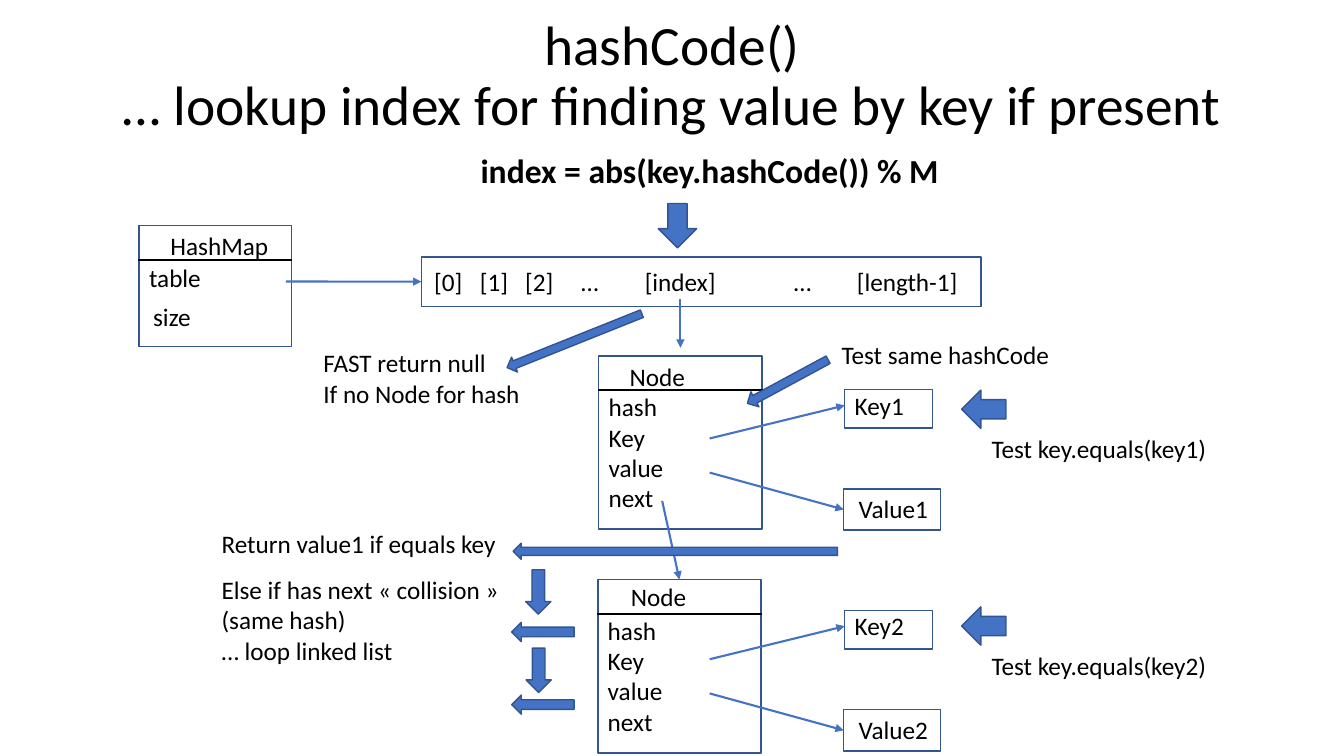
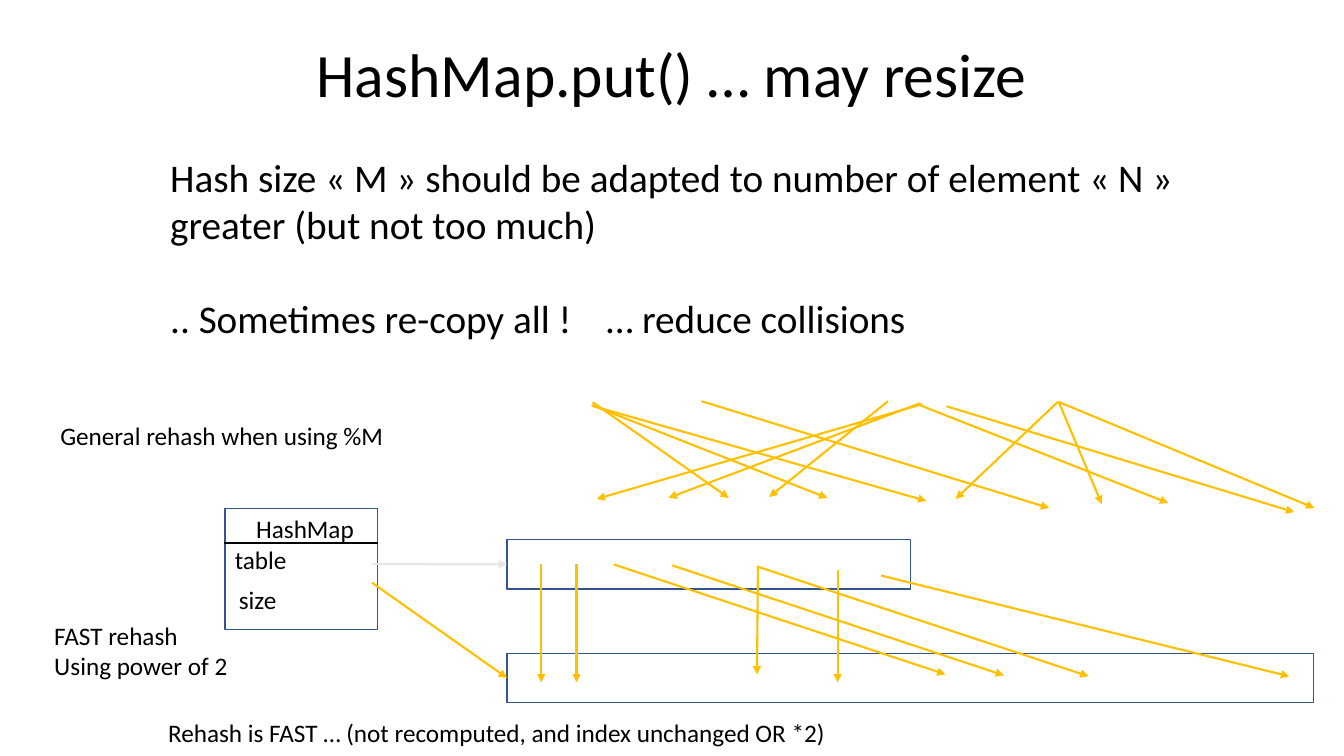
from lxml import etree
from pptx import Presentation
from pptx.dml.color import RGBColor
from pptx.enum.shapes import MSO_CONNECTOR, MSO_SHAPE
from pptx.enum.text import MSO_ANCHOR, MSO_AUTO_SIZE, PP_ALIGN
from pptx.oxml.ns import qn
from pptx.util import Pt

STRAIGHT = MSO_CONNECTOR.STRAIGHT
RECTANGLE = MSO_SHAPE.RECTANGLE
DOWN_ARROW = MSO_SHAPE.DOWN_ARROW
MIDDLE = MSO_ANCHOR.MIDDLE
FIT_SHAPE = MSO_AUTO_SIZE.SHAPE_TO_FIT_TEXT
CENTER = PP_ALIGN.CENTER

COLORS = {
    "text": "000000",
    "accent": "4472C4",
    "outline": "325491",
    "pale": "E7E6E6",
    "rehash": "FFC000",
}
TOP, LEFT = 0, 1
LINE_HEIGHT = 22
TITLE_BOX = (66, 11, 828, 89)
ARRAY_HEIGHT = 35.3


def color(name):
    return RGBColor.from_string(COLORS[name])


def points(values):
    return [Pt(value) for value in values]


def write(paragraph, text, **font_format):
    paragraph.text = text
    values = {"name": "Calibri", "size": Pt(18), **font_format}
    for run in paragraph.runs:
        for attribute, value in values.items():
            setattr(run.font, attribute, value)
        run.font.color.rgb = color("text")


def set_tabs(paragraph, positions):
    properties = paragraph._p.get_or_add_pPr()
    tabs = etree.SubElement(properties, qn("a:tabLst"))
    for position in positions:
        etree.SubElement(tabs, qn("a:tab"), pos=str(Pt(position)), algn="l")


def add_title(slide, text, size):
    frame = slide.shapes.add_textbox(*points(TITLE_BOX)).text_frame
    frame.word_wrap = True
    frame.vertical_anchor = MIDDLE
    paragraph = frame.paragraphs[0]
    write(paragraph, text, size=Pt(size))
    paragraph.alignment = CENTER
    paragraph.line_spacing = 0.9


def add_label(slide, left, top, width, *lines, size=18, bold=False):
    height = len(lines) * LINE_HEIGHT * size / 18 + 7.2
    shape = slide.shapes.add_textbox(*points((left, top, width, height)))
    frame = shape.text_frame
    frame.word_wrap = False
    frame.auto_size = FIT_SHAPE
    for index, line in enumerate(lines):
        paragraph = frame.add_paragraph() if index else frame.paragraphs[0]
        write(paragraph, line, size=Pt(size), bold=bold)
    return shape


def add_box(slide, box, preset=RECTANGLE, fill=None, rotation=0):
    shape = slide.shapes.add_shape(preset, *points(box))
    shape.shadow.inherit = False
    shape.rotation = rotation
    if fill:
        shape.fill.solid()
        shape.fill.fore_color.rgb = color(fill)
    else:
        shape.fill.background()
    shape.line.color.rgb = color("outline")
    shape.line.width = Pt(1)
    return shape


def add_block_arrow(slide, box, rotation=0):
    add_box(slide, box, DOWN_ARROW, "accent", rotation)


def add_line(slide, start, end, line_color, arrow=True):
    connector = slide.shapes.add_connector(STRAIGHT, *points((*start, *end)))
    connector.line.color.rgb = color(line_color)
    connector.line.width = Pt(1.5)
    if arrow:
        etree.SubElement(connector.line._get_or_add_ln(), qn("a:tailEnd"), type="triangle")
    etree.SubElement(connector._element.spPr, qn("a:effectLst"))
    return connector


def join(slide, start, target, side, line_color):
    add_line(slide, start, start, line_color).end_connect(target, side)


def add_record(slide, box, title_left, title_top, title, title_width):
    left, top, width, height = box
    record = add_box(slide, box)
    add_label(slide, left + title_left, top + title_top, title_width, title)
    add_line(slide, (left - 0.7, top + 24.5), (left + width + 0.5, top + 24.5), "text", arrow=False)
    return record


def add_hash_map(slide, left, top, array_width, arrow_color):
    add_record(slide, (left, top, 109, 86.4), 15.3, 0, "HashMap", 85)
    add_label(slide, left, top + 22.3, 51.8, "table")
    add_label(slide, left + 2.9, top + 50.4, 41.8, "size")
    array = add_box(slide, (left + 201.6, top + 22.2, array_width, ARRAY_HEIGHT))
    join(slide, (left + 104.8, top + 39.8), array, LEFT, arrow_color)


def add_array_indexes(slide, left, top, width):
    shape = slide.shapes.add_textbox(*points((left + 2, top + 2.9, width - 2, 29)))
    frame = shape.text_frame
    frame.word_wrap = True
    paragraph = frame.paragraphs[0]
    write(paragraph, "[0]\t[1]\t[2]\t…\t[index]\t…\t[length-1]")
    set_tabs(paragraph, (32.7, 65, 105, 150.5, 257, 302))


def add_node(slide, left, top, title_left, title_top):
    node = add_record(slide, (left, top, 116.6, 123.8), title_left, title_top, "Node", 54.7)
    add_label(slide, left, top + 22, 54, "hash", "Key", "value", "next")
    return node


def add_entry(slide, left, top, number):
    add_box(slide, (left, top + 3.4, 62.6, 27.4))
    key = add_label(slide, left, top, 50.4, f"Key{number}")
    value = add_box(slide, (left - 0.7, top + 74.2, 69.1, 29.5))
    add_label(slide, left + 2.9, top + 74, 64.8, f"Value{number}")
    join(slide, (left - 96.5, top + 38.2), key, LEFT, "accent")
    join(slide, (left - 96.5, top + 62.6), value, LEFT, "accent")


def add_equals_test(slide, left, top, number):
    add_block_arrow(slide, (left, top, 27.4, 31.7), 90)
    add_label(slide, left + 12.2, top + 29.5, 169.2, f"Test key.equals(key{number})")


def build_lookup_slide(slide):
    add_title(slide, "hashCode()\v… lookup index for finding value by key if present", 39.6)
    add_hash_map(slide, 99.4, 161.3, 399.6, "accent")
    add_array_indexes(slide, 301, 183.5, 399.6)
    add_label(slide, 336.2, 103.7, 345.6, "index = abs(key.hashCode()) % M", size=24, bold=True)
    add_line(slide, (486, 213.8), (486, 248.4), "accent")

    add_node(slide, 427.7, 254.2, 15, 0)
    next_node = add_node(slide, 427, 414, 16.5, -2)
    join(slide, (473, 357.8), next_node, TOP, "accent")
    for number, entry_top, test_top in ((1, 275, 276.5), (2, 432.7, 431.3)):
        add_entry(slide, 603.4, entry_top, number)
        add_equals_test(slide, 689, test_top, number)

    for box, rotation in (
        ((470.2, 145.4, 27.4, 31.7), 0),
        ((556.6, 239.8, 12.2, 65.5), 61.6),
        ((404.6, 191.5, 11.5, 103.7), 68.2),
        ((476.6, 277.9, 11.5, 231.8), 90),
        ((375.5, 407, 18, 31.7), 0),
        ((375.8, 463, 18, 31.7), 0),
        ((380.9, 429.1, 13.7, 44.6), 90),
        ((380.9, 481, 13.7, 44.6), 90),
    ):
        add_block_arrow(slide, box, rotation)

    add_label(slide, 594, 239, 164.2, "Test same hashCode")
    add_label(slide, 223.9, 244.8, 156.2, "FAST return null", "If no Node for hash")
    add_label(slide, 151.2, 373.7, 212.4, "Return value1 if equals key")
    add_label(
        slide, 151.2, 406.8, 214.6,
        "Else if has next « collision »", "(same hash)", "… loop linked list",
    )


def add_resize_message(slide, left, top, width):
    shape = add_label(
        slide, left, top, width,
        "Hash size « M » should be adapted to number of element « N »",
        "greater (but not too much)",
        ".. Sometimes re-copy all !\t… reduce collisions",
        size=28,
    )
    last_paragraph = shape.text_frame.paragraphs[-1]
    last_paragraph.space_before = Pt(34)
    set_tabs(last_paragraph, (311.5,))
    shape.height = Pt(143.3)


def add_rehash_arrows(slide, arrows):
    for start_x, start_y, end_x, end_y in arrows:
        add_line(slide, (start_x, start_y), (end_x, end_y), "rehash")


def build_resize_slide(slide):
    add_title(slide, "HashMap.put() … may resize", 44)
    add_resize_message(slide, 114.5, 105.8, 739.4)
    add_hash_map(slide, 160.6, 363.2, 288, "pale")
    resized_array = add_box(slide, (362.2, 466.6, 576, ARRAY_HEIGHT))
    join(slide, (265.7, 416.2), resized_array, LEFT, "rehash")

    general_rehash = (
        (423.4, 287.3, 520.6, 355.7),
        (501.1, 286.6, 749.5, 362.9),
        (676.1, 290.2, 924.5, 365.8),
        (756, 286.6, 787, 360),
        (634.3, 286.6, 549.4, 355),
        (658.8, 288.7, 426.2, 356.4),
        (422.6, 289.4, 591.1, 355.7),
        (424.1, 290.2, 661.7, 357.8),
        (657.4, 288, 477.4, 355.7),
        (655.2, 288.7, 834.5, 359.3),
        (756.7, 287.3, 938.9, 362.9),
        (755.3, 287.3, 682.6, 356.4),
    )
    fast_rehash = (
        (386.6, 403.2, 386.6, 487.4),
        (411.8, 403.2, 411.8, 487.4),
        (438.5, 403.2, 675.4, 481.7),
        (480.2, 403.9, 717.1, 482.4),
        (540.7, 404.6, 777.6, 483.1),
        (541.4, 404.6, 540.7, 481.7),
        (629.3, 411.1, 920.9, 483.1),
        (598.3, 406.8, 598.3, 487.4),
    )
    add_rehash_arrows(slide, general_rehash + fast_rehash)

    add_label(slide, 36, 296.6, 248.4, "General rehash when using %M")
    add_label(slide, 31.7, 439.2, 139.7, "FAST rehash", "Using power of 2")
    add_label(
        slide, 113, 509, 493.9,
        "Rehash is FAST … (not recomputed, and index unchanged OR *2)",
    )


def main():
    presentation = Presentation()
    presentation.slide_width = Pt(960)
    presentation.slide_height = Pt(540)
    blank_layout = presentation.slide_layouts[6]
    for build in (build_lookup_slide, build_resize_slide):
        build(presentation.slides.add_slide(blank_layout))
    presentation.save("out.pptx")


if __name__ == "__main__":
    main()
